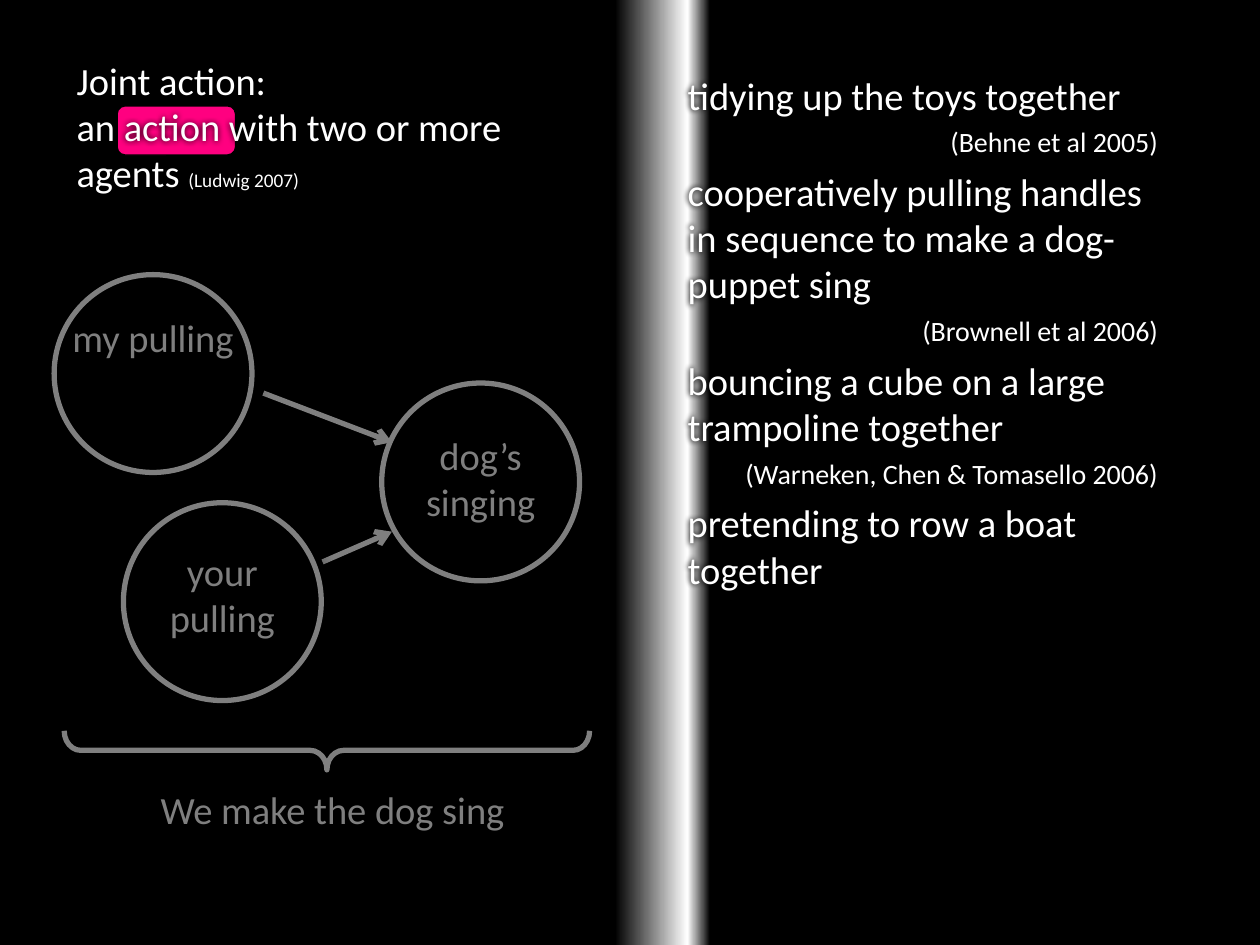
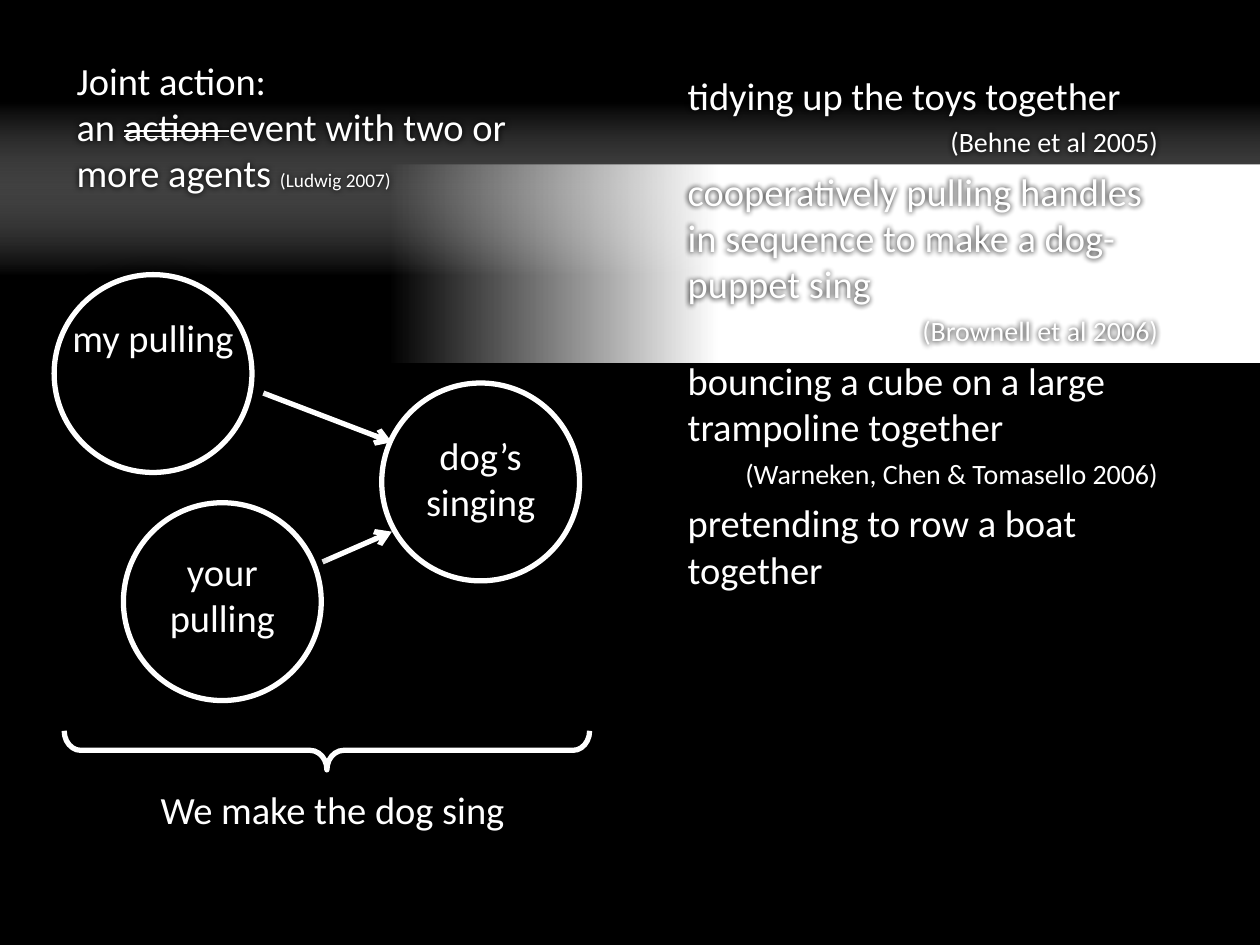
from lxml import etree
from pptx import Presentation
from pptx.dml.color import RGBColor
from pptx.enum.shapes import MSO_CONNECTOR, MSO_SHAPE
from pptx.enum.text import MSO_AUTO_SIZE, PP_ALIGN
from pptx.oxml.ns import qn
from pptx.util import Inches, Pt

OVAL = MSO_SHAPE.OVAL
RECT = MSO_SHAPE.RECTANGLE
ROUND_RECT = MSO_SHAPE.ROUNDED_RECTANGLE
BRACE = MSO_SHAPE.LEFT_BRACE
STRAIGHT = MSO_CONNECTOR.STRAIGHT
GROW = MSO_AUTO_SIZE.SHAPE_TO_FIT_TEXT
LEFT, CENTER, RIGHT = PP_ALIGN.LEFT, PP_ALIGN.CENTER, PP_ALIGN.RIGHT

COLORS = {"black": "000000", "white": "FFFFFF", "pink": "FF0080"}
FONT = "Calibri"
BODY, CITE, SMALL = 22, 16, 11
STROKE = 3
CIRCLE = 1.57
TEXT_HALO, CIRCLE_HALO = 0.05, 0.14

TITLE_BOX = (0.51, 0.4, 3.94, 1.4)
DIAGRAM_BOX = (0.43, 2.18, 4.17, 4.48)
LIST_BOX = (5.36, 0.52, 3.93, 4.35)

EXAMPLES = [
    ("tidying up the toys together", "(Behne et al 2005)"),
    ("cooperatively pulling handles in sequence to make a dog-puppet sing",
     "(Brownell et al 2006)"),
    ("bouncing a cube on a large trampoline together",
     "(Warneken, Chen & Tomasello 2006)"),
    ("pretending to row a boat together", None),
]


def rgb(name):
    return RGBColor.from_string(COLORS[name])


def add_color(parent, name, alpha=100):
    color = etree.SubElement(parent, qn("a:srgbClr"), val=COLORS[name])
    if alpha < 100:
        etree.SubElement(color, qn("a:alpha"), val=str(alpha * 1000))


def add_halo(shape, blur):
    shape.shadow.inherit = False
    effects = shape._element.spPr.find(qn("a:effectLst"))
    halo = etree.SubElement(effects, qn("a:outerShdw"),
                            blurRad=str(Inches(blur)), dist="0", dir="0",
                            algn="ctr", rotWithShape="0")
    add_color(halo, "black")


def add_figure(page, kind, box, fill=None, line=None, width=0.75):
    shape = page.shapes.add_shape(kind, *map(Inches, box))
    shape.shadow.inherit = False
    if fill:
        shape.fill.solid()
        shape.fill.fore_color.rgb = rgb(fill)
    else:
        shape.fill.background()
    if line:
        shape.line.color.rgb = rgb(line)
        shape.line.width = Pt(width)
    else:
        shape.line.fill.background()
    return shape


def add_gradient(page, box, stops, angle):
    shape = add_figure(page, RECT, box)
    shape.fill.gradient()
    shape.fill.gradient_angle = angle
    stop_list = shape._element.spPr.find(".//" + qn("a:gsLst"))
    for stop in list(stop_list):
        stop_list.remove(stop)
    for position, name, alpha in stops:
        stop = etree.SubElement(stop_list, qn("a:gs"), pos=str(position * 1000))
        add_color(stop, name, alpha)


def add_text(page, box, paragraphs, align=LEFT):
    shape = page.shapes.add_textbox(*map(Inches, box))
    frame = shape.text_frame
    frame.word_wrap = True
    frame.auto_size = GROW
    for index, spans in enumerate(paragraphs):
        para = frame.paragraphs[0] if index == 0 else frame.add_paragraph()
        para.alignment = align
        for text, size in spans:
            span = para.add_run()
            span.text = text
            formats = {"name": FONT, "size": Pt(size)}
            for key, value in formats.items():
                setattr(span.font, key, value)
            span.font.color.rgb = rgb("white")
    add_halo(shape, TEXT_HALO)
    return frame


def add_circle(page, box):
    add_halo(add_figure(page, OVAL, box, line="white", width=STROKE), CIRCLE_HALO)


def add_arrow(page, start, end):
    arrow = page.shapes.add_connector(STRAIGHT, *map(Inches, start + end))
    arrow.line.color.rgb = rgb("white")
    arrow.line.width = Pt(STROKE)
    etree.SubElement(arrow.line._get_or_add_ln(), qn("a:tailEnd"), type="arrow")
    etree.SubElement(arrow._element.spPr, qn("a:effectLst"))


def add_title(page, box, wording):
    spans = [(text, BODY) for text in wording] + [("(Ludwig 2007)", SMALL)]
    return add_text(page, box, [[("Joint action:", BODY)], spans])


def add_diagram(page, box):
    left, top, width, height = box

    def place(x, y, w=CIRCLE, h=CIRCLE):
        return left + x, top + y, w, h

    def label(text, x, y, w=CIRCLE, h=0.84):
        add_text(page, place(x, y, w, h), [[(text, BODY)]], CENTER)

    effect_x, effect_y = width - CIRCLE, 0.86
    causes = [("my pulling", 0, 0, 0.26), ("your pulling", 0.55, 1.81, 0.31)]

    label("dog’s singing", effect_x, effect_y + 0.34)
    add_circle(page, place(effect_x, effect_y))
    for start, end in [((1.66, 0.94), (2.68, 1.33)), ((2.13, 2.28), (2.68, 2.04))]:
        add_arrow(page, place(*start)[:2], place(*end)[:2])
    brace = add_figure(page, BRACE, place(2.01, 1.69, 0.31, width),
                       line="white", width=STROKE)
    brace.rotation = 270
    brace.adjustments[0] = 0.425
    label("We make the dog sing", 0.48, height - 0.47, 3.46, 0.47)
    for text, x, y, drop in causes:
        label(text, x, y + drop)
    for text, x, y, drop in causes:
        add_circle(page, place(x, y))


def add_examples(page, box):
    rows = []
    for activity, source in EXAMPLES:
        rows.append((activity, BODY, LEFT))
        if source:
            rows.append((source, CITE, RIGHT))
    frame = add_text(page, box, [[(text, size)] for text, size, align in rows])
    for para, (text, size, align) in zip(frame.paragraphs, rows):
        para.alignment = align
        before = etree.SubElement(para._p.get_or_add_pPr(), qn("a:spcBef"))
        etree.SubElement(before, qn("a:spcPct"), val="25000")


def add_page(deck):
    page = deck.slides.add_slide(deck.slide_layouts[6])
    page.background.fill.solid()
    page.background.fill.fore_color.rgb = rgb("black")
    return page


def build_action_page(deck):
    page = add_page(deck)
    add_figure(page, ROUND_RECT, (0.93, 0.84, 0.94, 0.39), "pink", "black")
    add_title(page, TITLE_BOX, ["an action with two or more agents "])
    add_diagram(page, DIAGRAM_BOX)
    veil = add_figure(page, RECT, (0, 1.86, 5, 5.2), "black", "black")
    color = veil._element.spPr.find(qn("a:solidFill")).find(qn("a:srgbClr"))
    etree.SubElement(color, qn("a:alpha"), val="50000")
    add_gradient(page, (4.45, 0, 1.18, 7.5),
                 [(37, "white", 0), (85, "white", 100), (100, "white", 0)], 0)
    add_examples(page, LIST_BOX)


def build_event_page(deck):
    page = add_page(deck)
    add_gradient(page, (0, 0.8, 10, 1.38),
                 [(0, "black", 0), (1, "black", 100), (100, "white", 0)], 270)
    frame = add_title(page, TITLE_BOX,
                      ["an ", "action ", "event with two or more agents "])
    struck = frame.paragraphs[1].runs[1]
    struck.font._element.set("strike", "dblStrike")
    add_gradient(page, (0, 1.31, 10, CIRCLE),
                 [(31, "white", 0), (57, "white", 100), (100, "white", 100)], 0)
    add_diagram(page, DIAGRAM_BOX)
    add_examples(page, LIST_BOX)


deck = Presentation()
deck.slide_width, deck.slide_height = Inches(10), Inches(7.5)
build_action_page(deck)
build_event_page(deck)
deck.save("out.pptx")
